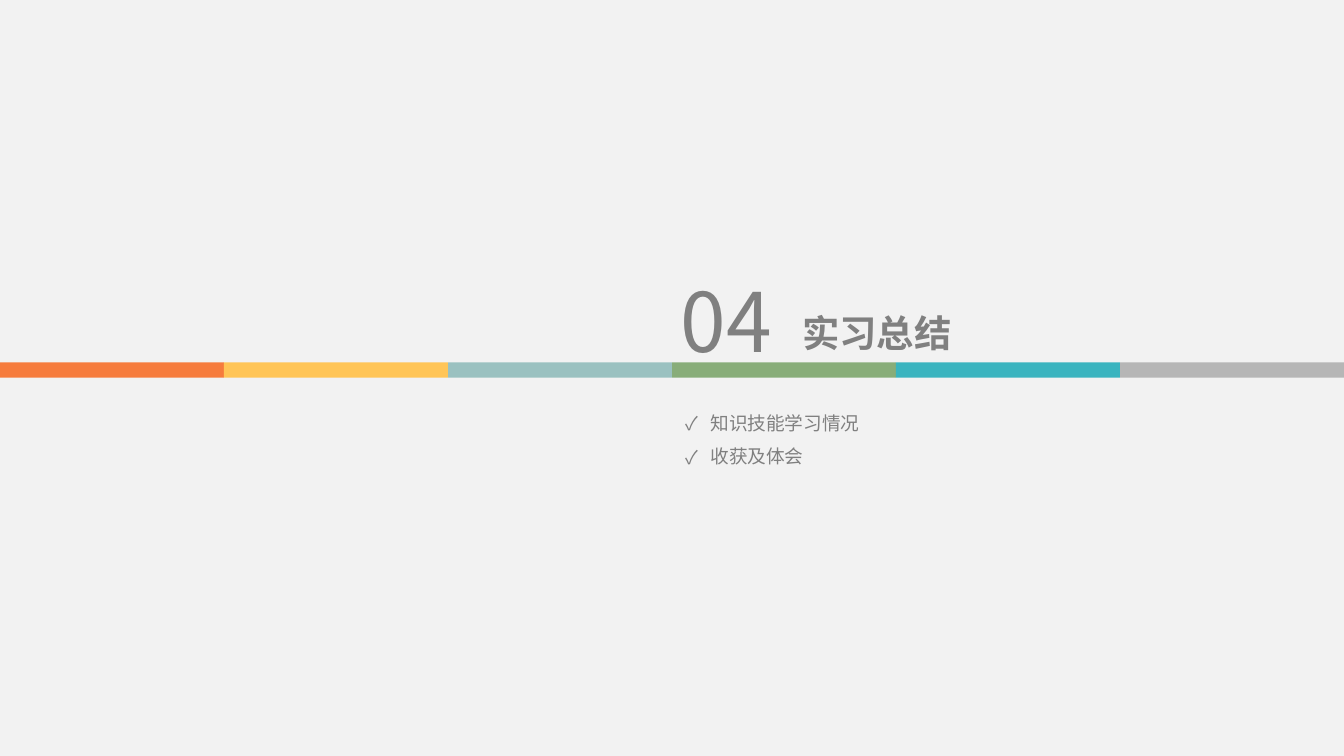
from dataclasses import dataclass

from lxml.etree import SubElement
from pptx import Presentation
from pptx.dml.color import RGBColor
from pptx.enum.shapes import MSO_SHAPE as Shape
from pptx.enum.text import MSO_AUTO_SIZE as AutoSize, PP_ALIGN as Align
from pptx.oxml.ns import qn
from pptx.util import Cm, Pt

FONT = "Noto Sans CJK SC"
GREY = "808080"
PAGE_WIDTH, PAGE_HEIGHT = 25.4, 14.29
STRIPE_TOP, STRIPE_HEIGHT = 6.85, 0.29
STRIPES = ["F67C3D", "FFC557", "9AC1C0", "88AD79", "3AB4BF", "B6B6B6"]


@dataclass
class Area:
    left: float
    top: float
    width: float
    height: float

    def lengths(self) -> list[Cm]:
        return [Cm(value) for value in (self.left, self.top, self.width, self.height)]


def colour(value: str) -> RGBColor:
    return RGBColor.from_string(value)


def add_bullet(para, mark: str, indent: float) -> None:
    properties = para._p.get_or_add_pPr()
    properties.set("marL", str(Cm(indent)))
    properties.set("indent", str(-Cm(indent)))
    SubElement(properties, qn("a:buFont"), typeface=FONT)
    SubElement(properties, qn("a:buChar"), char=mark)


def add_text(page, area: Area, text: str, *, size: float, bold: bool = False,
             align: Align = Align.LEFT, spacing: float = 1.0,
             bullet: str = "", wrap: bool = True) -> None:
    box = page.shapes.add_textbox(*area.lengths())
    frame = box.text_frame
    frame.word_wrap = wrap
    frame.auto_size = AutoSize.SHAPE_TO_FIT_TEXT
    frame.text = text
    for para in frame.paragraphs:
        para.alignment = align
        para.line_spacing = spacing
        if bullet:
            add_bullet(para, bullet, 0.48)
        for span in para.runs:
            span.font.name = FONT
            span.font.size = Pt(size)
            span.font.bold = bold
            span.font.color.rgb = colour(GREY)
            SubElement(span.font._element, qn("a:ea"), typeface=FONT)


def add_stripe(page, area: Area, fill: str) -> None:
    stripe = page.shapes.add_shape(Shape.RECTANGLE, *area.lengths())
    stripe.shadow.inherit = False
    stripe.fill.solid()
    stripe.fill.fore_color.rgb = colour(fill)
    stripe.line.fill.background()


def main() -> None:
    """Build the section page for the internship summary."""
    deck = Presentation()
    deck.slide_width, deck.slide_height = Cm(PAGE_WIDTH), Cm(PAGE_HEIGHT)
    page = deck.slides.add_slide(deck.slide_layouts[6])
    page.background.fill.solid()
    page.background.fill.fore_color.rgb = colour("F2F2F2")

    add_text(page, Area(12.7, 7.44, 3.84, 1.47), "知识技能学习情况\n收获及体会",
             size=10, spacing=1.5, bullet="✓", wrap=False)
    add_text(page, Area(14.91, 5.74, 5.99, 1.12), "实习总结", size=20, bold=True)
    add_text(page, Area(12.55, 4.98, 2.36, 2.13), "04", size=44, align=Align.CENTER)

    width = PAGE_WIDTH / len(STRIPES)
    for index, fill in enumerate(STRIPES):
        add_stripe(page, Area(index * width, STRIPE_TOP, width, STRIPE_HEIGHT), fill)
    deck.save("out.pptx")


if __name__ == "__main__":
    main()
